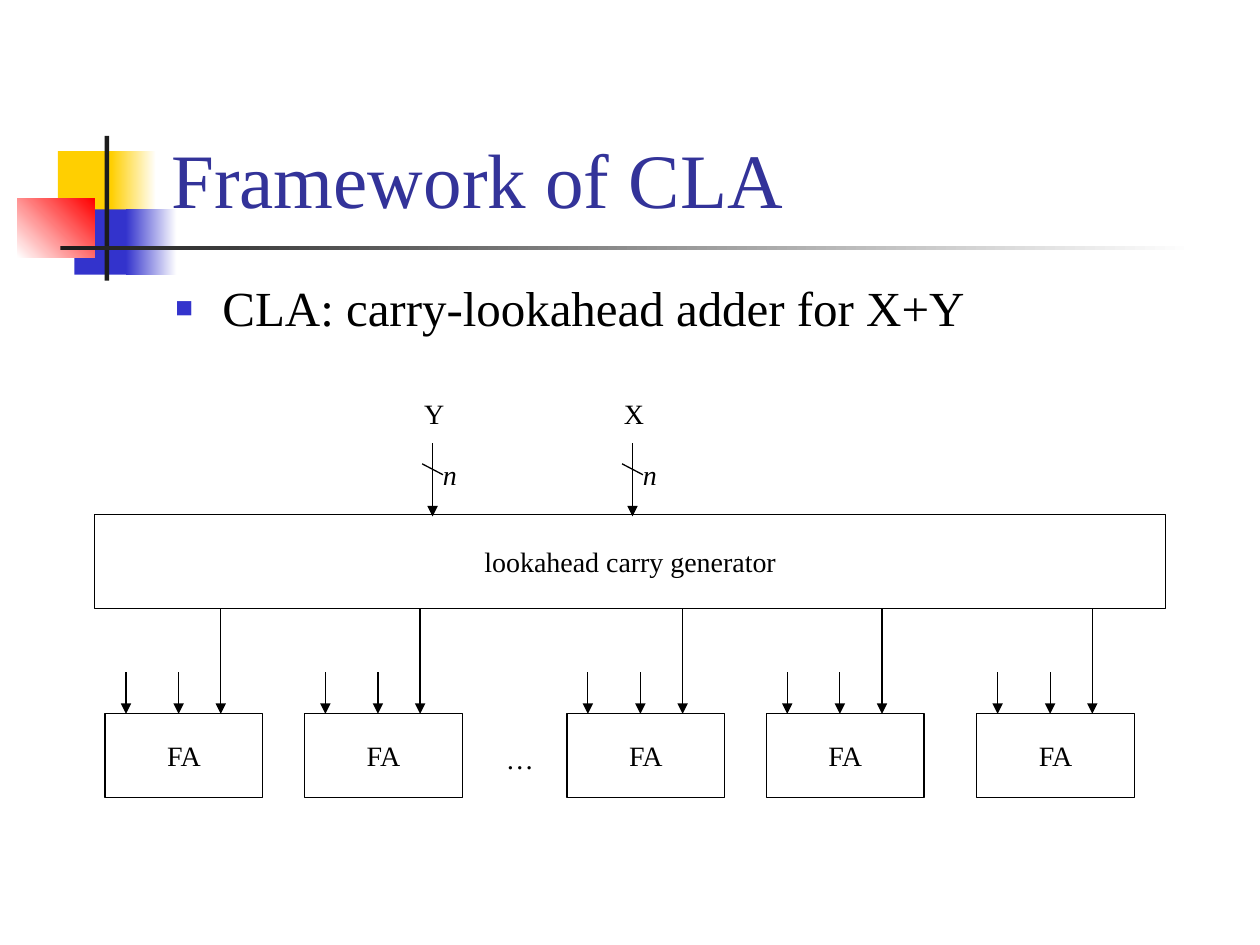
from dataclasses import dataclass, field
from lxml.etree import SubElement
from pptx import Presentation
from pptx.dml.color import RGBColor
from pptx.enum.shapes import MSO_CONNECTOR as Link, MSO_SHAPE as Preset
from pptx.enum.text import MSO_ANCHOR as Anchor, MSO_AUTO_SIZE as Fit, PP_ALIGN as Align
from pptx.oxml.ns import qn
from pptx.util import Cm, Pt

COLORS = {
    "ink": "000000", "paper": "FFFFFF", "bar": "1C1C1C", "title": "333399",
    "blue": "3333CC", "yellow": "FFCF01", "red": "FF0000",
}


def rgb(name):
    """Return the named colour."""
    return RGBColor.from_string(COLORS[name])


@dataclass
class Sketch:
    """Hold the style and the current slide."""
    slide: object
    font: str = "Times New Roman"
    label_size: int = 16
    stroke: object = field(default_factory=lambda: Pt(0.75))

    def add_text(self, frame, text, size=None, color="ink", align=Align.LEFT, italic=False):
        """Put one run in the first paragraph."""
        paragraph = frame.paragraphs[0]
        paragraph.alignment = align
        run = paragraph.add_run()
        run.text = text
        run.font.name = self.font
        run.font.size = Pt(size or self.label_size)
        run.font.italic = italic
        run.font.color.rgb = rgb(color)
        return paragraph

    def rectangle(self, box):
        """Add a rectangle without shadow."""
        shape = self.slide.shapes.add_shape(Preset.RECTANGLE, *map(Cm, box))
        shape.shadow.inherit = False
        return shape

    def ornament(self, box, start, end=None, angle=0):
        """Add a borderless block, plain or fading between two colours."""
        block = self.rectangle(box)
        block.line.fill.background()
        if end is None:
            block.fill.solid()
            block.fill.fore_color.rgb = rgb(start)
            return
        block.fill.gradient()
        block.fill.gradient_angle = angle
        for stop, color in zip(block.fill.gradient_stops, (start, end)):
            stop.color.rgb = rgb(color)

    def placeholder(self, index, box, text, size, color, anchor):
        """Place and fill a template placeholder in front of the ornaments."""
        holder = self.slide.placeholders[index]
        holder.left, holder.top, holder.width, holder.height = map(Cm, box)
        holder.element.getparent().append(holder.element)
        frame = holder.text_frame
        frame.word_wrap = True
        frame.auto_size = Fit.NONE
        frame.vertical_anchor = anchor
        return self.add_text(frame, text, size, color)

    def bullet(self, paragraph, indent):
        """Give a paragraph a small square bullet."""
        props = paragraph._p.get_or_add_pPr()
        props.set("marL", str(Cm(indent)))
        props.set("indent", str(-Cm(indent)))
        tint = SubElement(props, qn("a:buClr"))
        SubElement(tint, qn("a:srgbClr"), val=COLORS["blue"])
        SubElement(props, qn("a:buSzPct"), val="60000")
        SubElement(props, qn("a:buFont"), typeface=self.font)
        SubElement(props, qn("a:buChar"), char="■")
        paragraph.line_spacing = 0.9
        paragraph.space_before = Pt(0)

    def block(self, box, text):
        """Add an outlined block with a centred label."""
        shape = self.rectangle(box)
        shape.fill.background()
        shape.line.color.rgb = rgb("ink")
        shape.line.width = self.stroke
        shape.text_frame.word_wrap = False
        shape.text_frame.vertical_anchor = Anchor.MIDDLE
        self.add_text(shape.text_frame, text, align=Align.CENTER)

    def label(self, box, text, italic=False):
        """Add a free label."""
        frame = self.slide.shapes.add_textbox(*map(Cm, box)).text_frame
        frame.word_wrap = False
        frame.auto_size = Fit.SHAPE_TO_FIT_TEXT
        self.add_text(frame, text, italic=italic)

    def line(self, x1, y1, x2, y2, arrow=True):
        """Add a straight line, with an arrowhead unless told otherwise."""
        wire = self.slide.shapes.add_connector(Link.STRAIGHT, *map(Cm, (x1, y1, x2, y2)))
        wire.line.color.rgb = rgb("ink")
        wire.line.width = self.stroke
        props = wire.element.spPr
        if arrow:
            SubElement(props.find(qn("a:ln")), qn("a:tailEnd"), type="triangle")
        SubElement(props, qn("a:effectLst"))


def main():
    """Build and save the slide."""
    deck = Presentation()
    deck.slide_width, deck.slide_height = Cm(25.4), Cm(19.05)
    sketch = Sketch(deck.slides.add_slide(deck.slide_layouts[1]))

    sketch.ornament((1.17, 3.05, 1.22, 1.32), "yellow")
    sketch.ornament((2.24, 3.05, 0.91, 1.32), "yellow", "paper")
    sketch.ornament((1.5, 4.22, 1.17, 1.32), "blue")
    sketch.ornament((2.54, 4.22, 1.02, 1.32), "blue", "paper")
    sketch.ornament((0.35, 4.01, 1.56, 1.18), "paper", "red", 45)
    sketch.ornament((2.11, 2.74, 0.09, 2.92), "bar")
    sketch.ornament((1.22, 4.95, 22.86, 0.09), "bar", "paper")

    sketch.placeholder(0, (3.2, 0.58, 21.64, 4.06), "Framework of CLA", 44, "title", Anchor.BOTTOM)
    topic = sketch.placeholder(1, (3.28, 5.61, 21.59, 1.37),
                               "CLA: carry-lookahead adder for X+Y", 28, "ink", Anchor.TOP)
    sketch.bullet(topic, 0.95)

    generator_top, generator_height = 10.37, 1.9
    carry_top = generator_top + generator_height
    adder_top, operand_top = 14.39, 13.55
    for adder_left in (2.12, 6.14, 11.43, 15.45, 19.69):
        sketch.block((adder_left, adder_top, 3.18, 1.69), "FA")
        for offset, top in ((0.42, operand_top), (1.48, operand_top), (2.33, carry_top)):
            sketch.line(adder_left + offset, top, adder_left + offset, adder_top)
    sketch.label((9.95, 14.82, 1.06, 0.93), "…")

    sketch.block((1.91, generator_top, 21.59, generator_height), "lookahead carry generator")
    for operand, wire_x in (("Y", 8.72), ("X", 12.75)):
        sketch.line(wire_x, 8.94, wire_x, 10.41)
        sketch.line(wire_x - 0.21, 9.35, wire_x + 0.21, 9.57, arrow=False)
        sketch.label((wire_x - 0.04, 9.1, 0.79, 0.93), "n", italic=True)
        sketch.label((wire_x - 0.42, 7.87, 0.91, 0.93), operand)

    deck.save("out.pptx")


if __name__ == "__main__":
    main()
